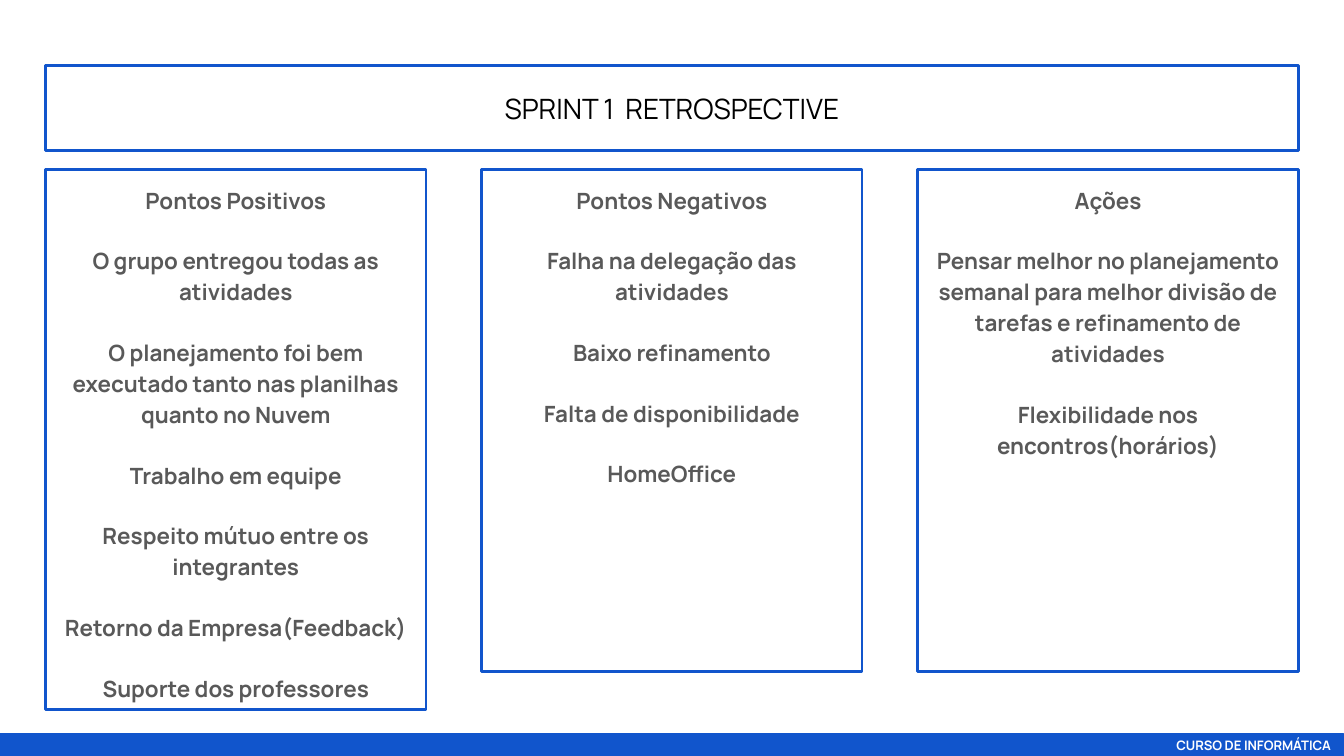
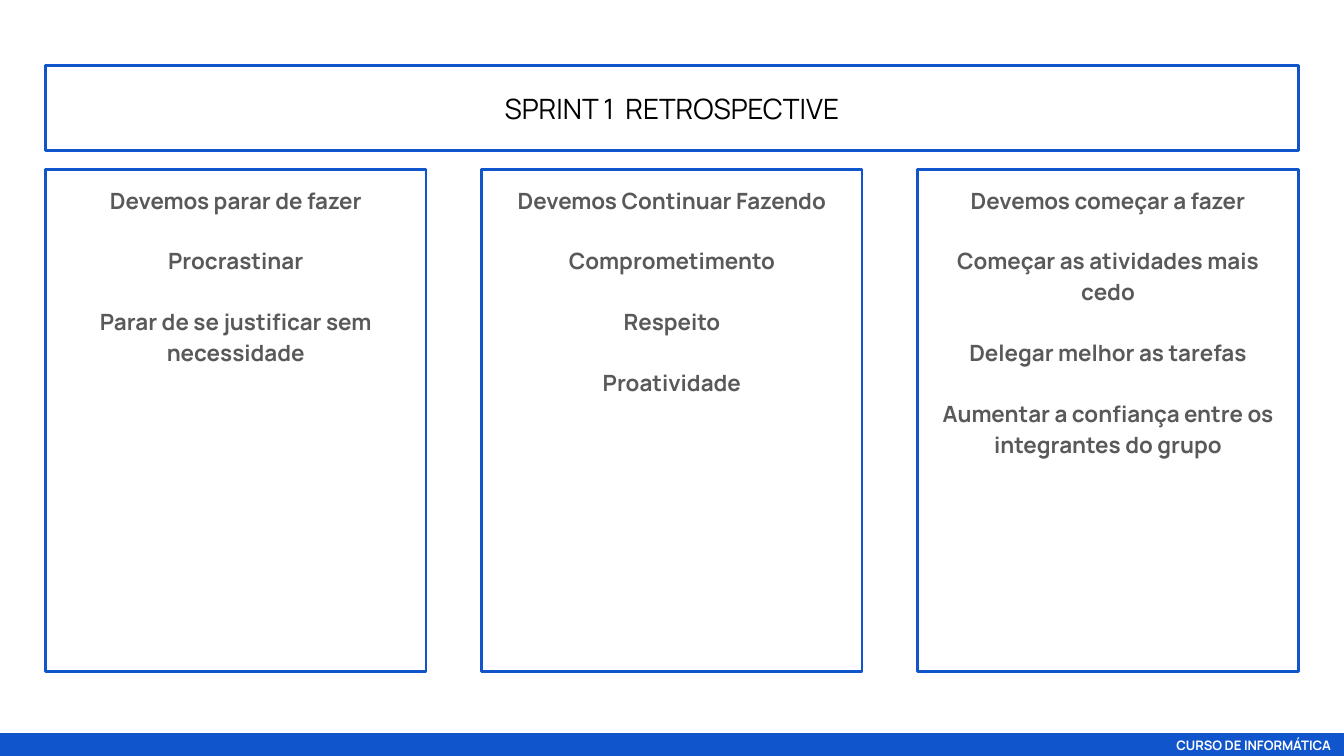
from pptx import Presentation
from pptx.dml.color import RGBColor
from pptx.enum.shapes import MSO_SHAPE as Shape
from pptx.enum.text import MSO_ANCHOR as Anchor, PP_ALIGN as Align
from pptx.util import Inches, Pt

TITLE = "SPRINT 1  RETROSPECTIVE"
FOOTER = "CURSO DE INFORMÁTICA"
SLIDES = [
    [
        ["Pontos Positivos",
         "O grupo entregou todas as atividades",
         "O planejamento foi bem executado tanto nas planilhas quanto no Nuvem",
         "Trabalho em equipe",
         "Respeito mútuo entre os integrantes",
         "Retorno da Empresa(Feedback)",
         "Suporte dos professores"],
        ["Pontos Negativos",
         "Falha na delegação das atividades",
         "Baixo refinamento",
         "Falta de disponibilidade",
         "HomeOffice"],
        ["Ações",
         "Pensar melhor no planejamento semanal para melhor divisão de tarefas "
         "e refinamento de atividades",
         "Flexibilidade nos encontros(horários)"],
    ],
    [
        ["Devemos parar de fazer",
         "Procrastinar",
         "Parar de se justificar sem necessidade"],
        ["Devemos Continuar Fazendo",
         "Comprometimento",
         "Respeito",
         "Proatividade"],
        ["Devemos começar a fazer",
         "Começar as atividades mais cedo",
         "Delegar melhor as tarefas",
         "Aumentar a confiança entre os integrantes do grupo"],
    ],
]

COLORS = {"blue": "1155CC", "title": "000000", "body": "595959", "white": "FFFFFF"}
FONT = "Manrope"
WIDTH = 10
HEIGHT = WIDTH * 9 / 16
MARGIN = 0.34
CONTENT_WIDTH = WIDTH - 2 * MARGIN
TITLE_TOP, TITLE_HEIGHT = 0.49, 0.63
COLUMN_TOP, COLUMN_WIDTH = 1.26, 2.83
COLUMN_HEIGHT, TALL_HEIGHT = 3.74, 4.02
MOST_ITEMS = 6
FOOTER_HEIGHT = 0.16
INSET = 0.1


def color(name):
    return RGBColor.from_string(COLORS[name])


def add_box(slide, box, lines, size, text_color, bold=False, align=Align.CENTER,
            anchor=Anchor.MIDDLE, fill=None, inset=INSET, spacing=None, after=0):
    shape = slide.shapes.add_shape(Shape.RECTANGLE, *map(Inches, box))
    shape.shadow.inherit = False
    if fill:
        shape.fill.solid()
        shape.fill.fore_color.rgb = color(fill)
    else:
        shape.fill.background()
    shape.line.color.rgb = color("blue")
    shape.line.width = Pt(1.5)

    frame = shape.text_frame
    frame.word_wrap = True
    frame.vertical_anchor = anchor
    frame.margin_left = frame.margin_right = Inches(INSET)
    frame.margin_top = frame.margin_bottom = Inches(inset)
    frame.text = "\n".join(lines)
    for paragraph in frame.paragraphs:
        paragraph.alignment = align
        paragraph.line_spacing = spacing
        paragraph.space_after = Pt(after)
        font = paragraph.runs[0].font
        font.name = FONT
        font.size = Pt(size)
        font.bold = bold
        font.color.rgb = color(text_color)


def add_columns(slide, columns):
    step = (CONTENT_WIDTH - COLUMN_WIDTH) / (len(columns) - 1)
    for index, lines in enumerate(columns):
        height = TALL_HEIGHT if len(lines) > MOST_ITEMS else COLUMN_HEIGHT
        box = (MARGIN + index * step, COLUMN_TOP, COLUMN_WIDTH, height)
        add_box(slide, box, lines, 12, "body", bold=True, anchor=Anchor.TOP,
                spacing=1.15, after=16)


def add_slide(presentation, columns):
    slide = presentation.slides.add_slide(presentation.slide_layouts[6])
    add_box(slide, (MARGIN, TITLE_TOP, CONTENT_WIDTH, TITLE_HEIGHT), [TITLE], 15, "title")
    add_columns(slide, columns)
    add_box(slide, (0, HEIGHT - FOOTER_HEIGHT, WIDTH, FOOTER_HEIGHT), [FOOTER], 7,
            "white", bold=True, align=Align.RIGHT, fill="blue", inset=0)


def main():
    presentation = Presentation()
    presentation.slide_width = Inches(WIDTH)
    presentation.slide_height = Inches(HEIGHT)
    for columns in SLIDES:
        add_slide(presentation, columns)
    presentation.save("out.pptx")


if __name__ == "__main__":
    main()
